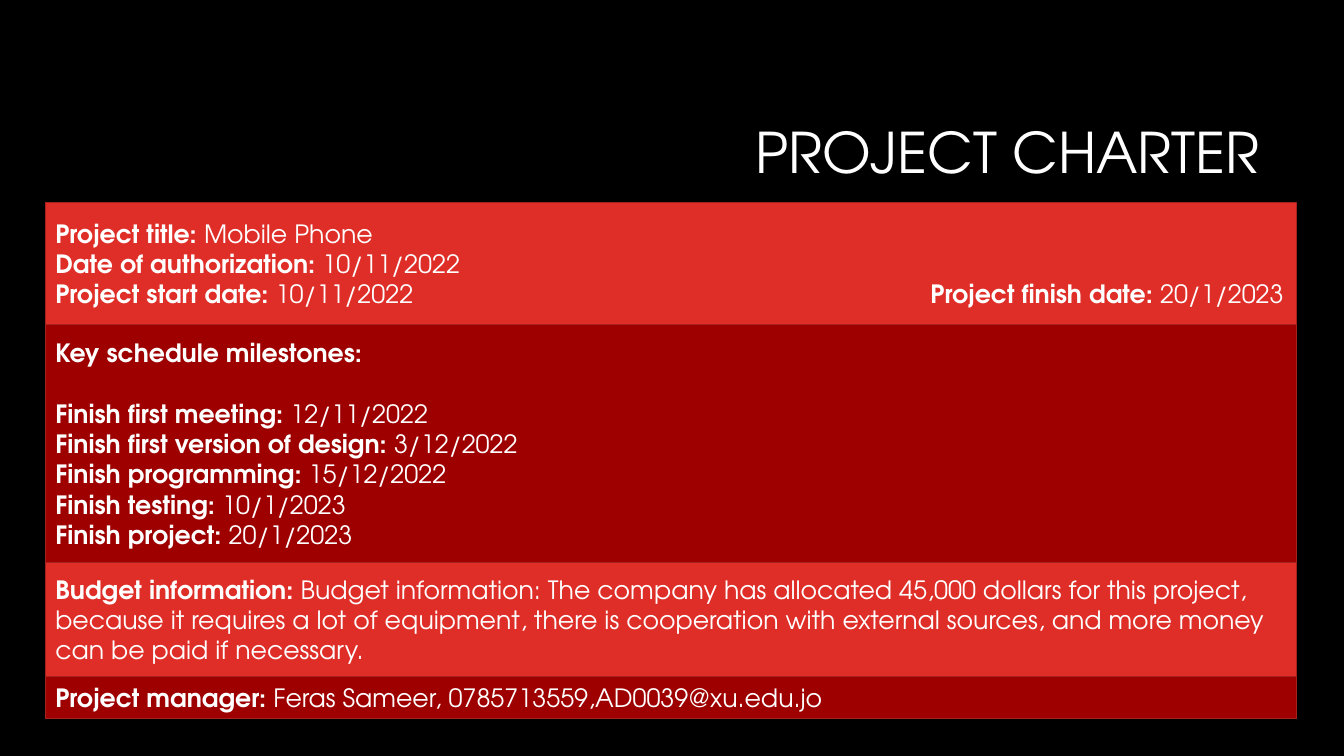
from dataclasses import dataclass

from lxml import etree
from pptx import Presentation
from pptx.dml.color import RGBColor
from pptx.enum.shapes import MSO_SHAPE
from pptx.enum.text import MSO_ANCHOR, PP_ALIGN
from pptx.oxml.ns import qn
from pptx.util import Inches, Pt

RECT = MSO_SHAPE.RECTANGLE
MIDDLE = MSO_ANCHOR.MIDDLE
LEFT, RIGHT = PP_ALIGN.LEFT, PP_ALIGN.RIGHT


@dataclass(frozen=True)
class Theme:
    font: str = "TeX Gyre Adventor"
    background: RGBColor = RGBColor(0x00, 0x00, 0x00)
    text: RGBColor = RGBColor(0xFF, 0xFF, 0xFF)
    bands: tuple = (RGBColor(0xDF, 0x2E, 0x28), RGBColor(0x9E, 0x00, 0x00))
    border: RGBColor = RGBColor(0xA5, 0x22, 0x1E)
    title_size: int = 40
    body_size: int = 18
    heading_gap: float = 21.6


THEME = Theme()
FINISH_DATE_TAB = 8.68

# Each band: height, then lines of alternating bold labels and plain values
BANDS = [
    (1.21, [
        ("Project title: ", "Mobile Phone"),
        ("Date of authorization: ", "10/11/2022"),
        ("Project start date: ", "10/11/2022\t",
         "Project finish date: ", "20/1/2023"),
    ]),
    (2.36, [
        ("Key schedule milestones:",),
        ("Finish first meeting: ", "12/11/2022"),
        ("Finish first version of design: ", "3/12/2022"),
        ("Finish programming: ", "15/12/2022"),
        ("Finish testing: ", "10/1/2023"),
        ("Finish project: ", "20/1/2023"),
    ]),
    (1.13, [
        ("Budget information: ",
         "Budget information: The company has allocated 45,000 dollars for "
         "this project, because it requires a lot of equipment, there is "
         "cooperation with external sources, and more money can be paid if "
         "necessary."),
    ]),
    (0.42, [
        ("Project manager: ", "Feras Sameer, 0785713559,AD0039@xu.edu.jo"),
    ]),
]


def style_run(r, size, bold=False):
    r.font.name = THEME.font
    r.font.size = Pt(size)
    r.font.bold = bold
    r.font.color.rgb = THEME.text


def add_tab_stop(p, position):
    tabs = etree.SubElement(p._p.get_or_add_pPr(), qn("a:tabLst"))
    etree.SubElement(tabs, qn("a:tab"), pos=str(Inches(position)), algn="l")


def add_title(s, text, left, top, width, height):
    box = s.shapes.add_textbox(Inches(left), Inches(top),
                               Inches(width), Inches(height))
    tf = box.text_frame
    tf.word_wrap = True
    tf.vertical_anchor = MIDDLE
    tf.text = text
    p = tf.paragraphs[0]
    p.alignment = RIGHT
    p.line_spacing = 0.9
    style_run(p.runs[0], THEME.title_size)


def fill_line(p, parts):
    p.alignment = LEFT
    for i, part in enumerate(parts):
        r = p.add_run()
        r.text = part
        style_run(r, THEME.body_size, bold=i % 2 == 0)
    # A lone label is a heading, set apart from the lines below it
    if len(parts) == 1:
        p.space_after = Pt(THEME.heading_gap)
    # Two pairs on a line are separated by a tab
    if len(parts) > 2:
        add_tab_stop(p, FINISH_DATE_TAB)


def add_band(group, lines, color, left, top, width, height):
    sp = group.shapes.add_shape(RECT, Inches(left), Inches(top),
                                Inches(width), Inches(height))
    sp.shadow.inherit = False
    sp.fill.solid()
    sp.fill.fore_color.rgb = color
    sp.line.color.rgb = THEME.border
    sp.line.width = Pt(1)
    tf = sp.text_frame
    tf.word_wrap = True
    tf.vertical_anchor = MIDDLE
    for i, parts in enumerate(lines):
        p = tf.add_paragraph() if i else tf.paragraphs[0]
        fill_line(p, parts)


def add_charter(s, bands, left, top, width):
    group = s.shapes.add_group_shape()
    for i, (height, lines) in enumerate(bands):
        color = THEME.bands[i % len(THEME.bands)]
        add_band(group, lines, color, left, top, width, height)
        top += height


def main():
    prs = Presentation()
    prs.slide_width, prs.slide_height = Inches(13.33), Inches(7.5)
    s = prs.slides.add_slide(prs.slide_layouts[6])
    s.background.fill.solid()
    s.background.fill.fore_color.rgb = THEME.background

    # Title above the stacked charter bands
    add_title(s, "PROJECT CHARTER", 3.17, 0.84, 9.42, 1.41)
    add_charter(s, BANDS, 0.45, 2.01, 12.41)
    prs.save("out.pptx")


if __name__ == "__main__":
    main()
